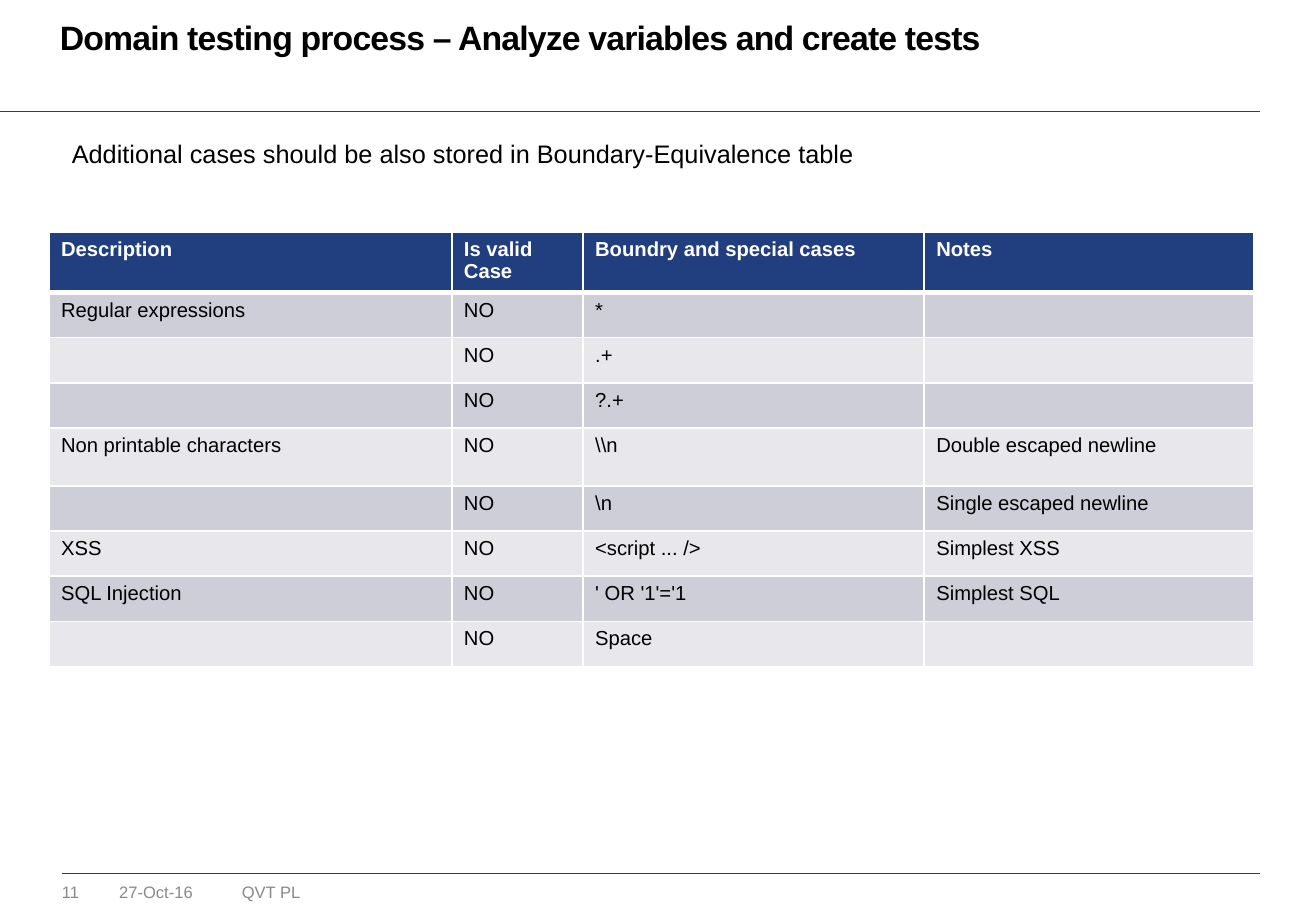
from dataclasses import dataclass

from lxml import etree
from pptx import Presentation
from pptx.dml.color import RGBColor
from pptx.enum import shapes, text
from pptx.oxml import ns
from pptx.util import Pt

NAVY = RGBColor(0x21, 0x3E, 0x7F)
DARK = RGBColor(0xCD, 0xCE, 0xD8)
LIGHT = RGBColor(0xE8, 0xE8, 0xEC)
GREY = RGBColor(0x89, 0x89, 0x89)
BLACK = RGBColor(0, 0, 0)
WHITE = RGBColor(0xFF, 0xFF, 0xFF)


@dataclass
class Rule:
    left: float
    right: float
    top: float


@dataclass
class Label:
    words: str
    left: float
    top: float
    width: float
    height: float
    size: float
    color: RGBColor = BLACK
    bold: bool = False
    inset: bool = False
    wrap: bool = True
    lead: float | None = None
    track: int = 0


RULES = [Rule(36.7, 746.6, 517.4), Rule(0, 747, 66)]
LABELS = [
    Label("QVT PL", 143.3, 522.7, 101.5, 12.2, 9.8, GREY),
    Label("11", 36.7, 522.7, 28, 11.5, 9.8, GREY, wrap=False),
    Label("27-Oct-16", 70.6, 522.7, 64, 11.5, 9.8, GREY),
    Label("Domain testing process – Analyze variables and create tests",
          35.5, 12.2, 715, 22.3, 20, bold=True, lead=21.7, track=-50),
    Label("Additional cases should be also stored in Boundary-Equivalence table",
          35.5, 78.5, 707, 25.2, 15, inset=True),
]
COLS = [238.8, 77.8, 202.2, 195.6]
ROWS = [34, 26.8, 26.8, 26.8, 34.2, 26.8, 26.8, 26.8, 26.8]
CASES = [
    ("Description", "Is valid Case", "Boundry and special cases", "Notes"),
    ("Regular expressions", "NO", "*", ""),
    ("", "NO", ".+", ""),
    ("", "NO", "?.+", ""),
    ("Non printable characters", "NO", r"\\n", "Double escaped newline"),
    ("", "NO", r"\n", "Single escaped newline"),
    ("XSS", "NO", "<script ... />", "Simplest XSS"),
    ("SQL Injection", "NO", "' OR '1'='1", "Simplest SQL"),
    ("", "NO", "Space", ""),
]


def write(frame, words: str, *, size: float, color: RGBColor = BLACK,
          bold: bool = False, lead: float | None = None, track: int = 0) -> None:
    para = frame.paragraphs[0]
    if lead:
        para.line_spacing = Pt(lead)
    if not words:  # an empty cell keeps the small text height
        para._p.get_or_add_endParaRPr().set("sz", str(round(size * 100)))
        return
    run = para.add_run()
    run.text = words
    run.font.name = "Arial"
    run.font.size = Pt(size)
    run.font.bold = bold
    run.font.color.rgb = color
    if track:
        run._r.get_or_add_rPr().set("spc", str(track))


def draw_rule(slide, rule: Rule) -> None:
    line = slide.shapes.add_connector(
        shapes.MSO_CONNECTOR.STRAIGHT,
        Pt(rule.left), Pt(rule.top), Pt(rule.right), Pt(rule.top))
    line.line.color.rgb = NAVY
    line.line.width = Pt(0.25)
    etree.SubElement(line._element.spPr, ns.qn("a:effectLst"))


def draw_label(slide, label: Label) -> None:
    box = slide.shapes.add_textbox(
        Pt(label.left), Pt(label.top), Pt(label.width), Pt(label.height))
    frame = box.text_frame
    frame.word_wrap = label.wrap
    frame.vertical_anchor = text.MSO_ANCHOR.TOP
    if not label.inset:
        frame.margin_left = frame.margin_right = 0
        frame.margin_top = frame.margin_bottom = 0
    write(frame, label.words, size=label.size, color=label.color,
          bold=label.bold, lead=label.lead, track=label.track)


def add_edges(cell, top: float, base: float) -> None:
    props = cell._tc.get_or_add_tcPr()
    edges = {"lnL": 1, "lnR": 1, "lnT": top, "lnB": base}
    for place, (tag, width) in enumerate(edges.items()):
        edge = etree.Element(ns.qn(f"a:{tag}"), w=str(Pt(width)))
        fill = etree.SubElement(edge, ns.qn("a:solidFill"))
        etree.SubElement(fill, ns.qn("a:srgbClr"), val=str(WHITE))
        props.insert(place, edge)


def draw_table(slide) -> None:
    table = slide.shapes.add_table(
        len(ROWS), len(COLS), Pt(29), Pt(137.4),
        Pt(sum(COLS)), Pt(sum(ROWS))).table
    table.horz_banding = False
    for col, width in zip(table.columns, COLS):
        col.width = Pt(width)
    for i, (row, height, case) in enumerate(zip(table.rows, ROWS, CASES)):
        row.height = Pt(height)
        head = i == 0
        shade = NAVY if head else DARK if i % 2 else LIGHT
        for cell, words in zip(row.cells, case):
            cell.fill.solid()
            cell.fill.fore_color.rgb = shade
            add_edges(cell, 3 if i == 1 else 1, 3 if head else 1)
            write(cell.text_frame, words, size=12, bold=head,
                  color=WHITE if head else BLACK)


def main() -> None:
    deck = Presentation()
    deck.slide_width, deck.slide_height = Pt(780), Pt(540)
    slide = deck.slides.add_slide(deck.slide_layouts[6])
    # Rules above the footer and below the title
    for rule in RULES:
        draw_rule(slide, rule)
    # Footer, title and lead sentence
    for label in LABELS:
        draw_label(slide, label)
    # Boundary-equivalence table
    draw_table(slide)
    deck.save("out.pptx")


if __name__ == "__main__":
    main()
